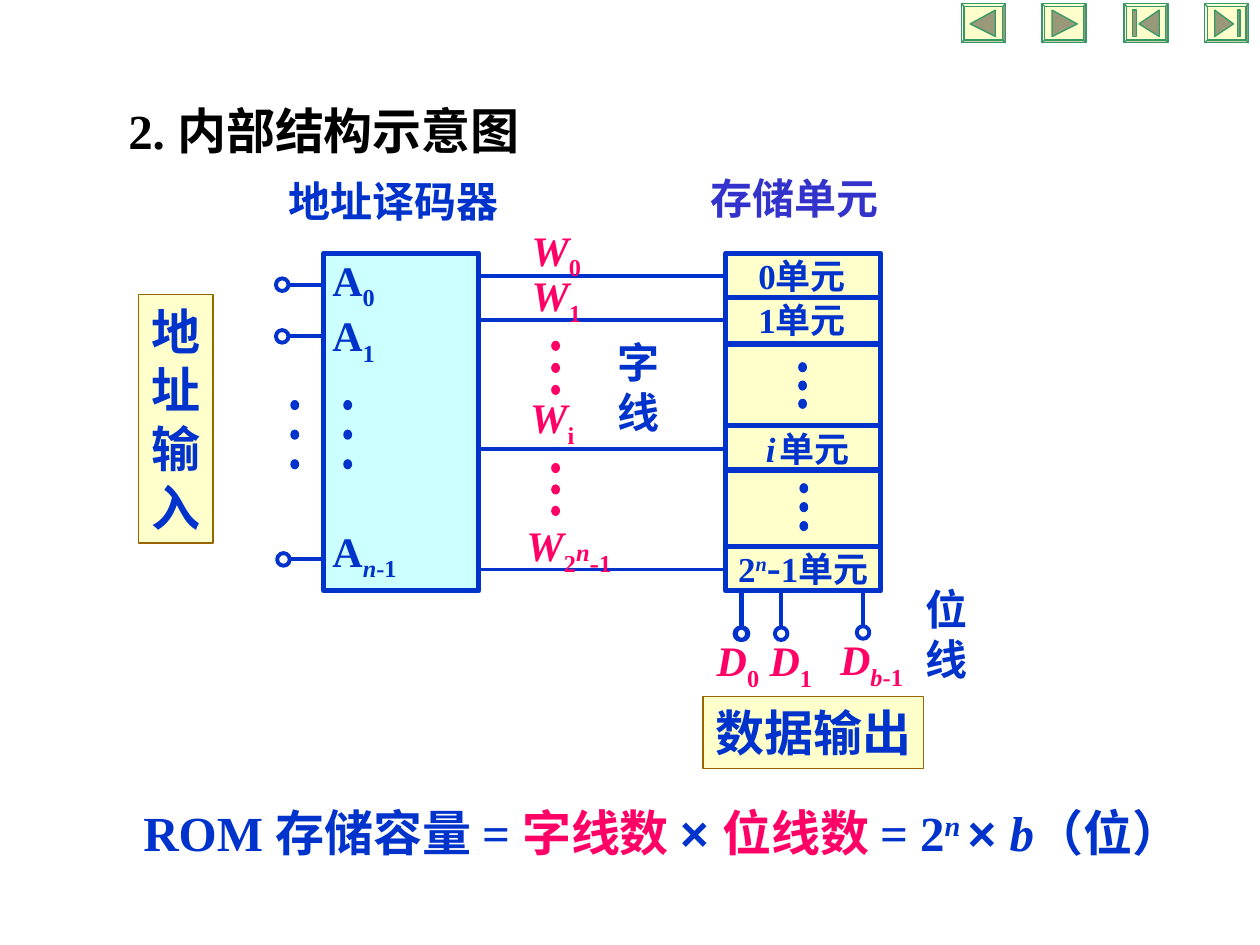
from lxml import etree
from pptx import Presentation
from pptx.dml.color import RGBColor
from pptx.enum import shapes as s, text as t
from pptx.oxml.ns import qn
from pptx.util import Inches, Pt

BLUE, PINK, CREAM, BROWN = "0033CC", "FF0066", "FFFFCC", "996600"
SERIF, SANS = "Times New Roman", "Noto Sans CJK SC"
KIND = s.MSO_SHAPE

prs = Presentation()
prs.slide_width, prs.slide_height = Inches(10), Inches(7.5)
slide = prs.slides.add_slide(prs.slide_layouts[6])
items = slide.shapes


def rgb(code):
    return RGBColor.from_string(code)


def write(shape, lines, size, color=BLUE, face=SERIF, wrap=False):
    """Each line is a list of (text, changes); base is a raise in thousandths of a percent."""
    frame = shape.text_frame
    frame.word_wrap = wrap
    frame.auto_size = t.MSO_AUTO_SIZE.SHAPE_TO_FIT_TEXT
    frame.vertical_anchor = t.MSO_ANCHOR.TOP
    for i, line in enumerate(lines):
        para = frame.add_paragraph() if i else frame.paragraphs[0]
        para.alignment = t.PP_ALIGN.LEFT
        for words, change in line:
            run = para.add_run()
            run.text = words
            look = {"size": size, "name": face, "bold": True, "italic": False, **change}
            base = look.pop("base", 0)
            run.font.color.rgb = rgb(look.pop("color", color))
            look["size"] = Pt(look["size"])
            for key, val in look.items():
                setattr(run.font, key, val)
            if base:
                run._r.get_or_add_rPr().set("baseline", str(base))


IT = {"italic": True}
SUB = {"base": -25000}
SUP = {"base": 30000, "italic": True}

# Boxes, dots and terminals: kind, place, fill, line, width, text lines
forms = [
    (KIND.RECTANGLE, (5.58, 5.53, 1.75, 0.57), CREAM, BROWN, 0.75, ["数据输出"]),
    (KIND.RECTANGLE, (1.1, 2.34, 0.59, 1.97), CREAM, BROWN, 0.75, "地址输入"),
    (KIND.RECTANGLE, (2.57, 2.01, 1.23, 2.68), "CCFFFF", BLUE, 3, []),
    (KIND.RECTANGLE, (5.76, 2.01, 1.23, 2.68), CREAM, BLUE, 3, []),
]
for x, y, step, color in [
    (2.73, 3.18, 0.235, BLUE), (2.31, 3.18, 0.235, BLUE),
    (6.34, 2.88, 0.145, BLUE), (6.35, 3.84, 0.15, BLUE),
    (4.38, 2.71, 0.175, PINK), (4.38, 3.68, 0.17, PINK),
]:
    for i in range(3):
        forms.append((KIND.OVAL, (x, y + i * step, 0.06, 0.07), color, color, 0.75, []))

# Wires: start, end, width
wires = [((3.8, y), (5.76, y), 2.25) for y in (2.19, 2.54, 3.56, 4.52)]
wires += [((5.78, y), (6.99, y), 3) for y in (2.36, 2.73, 3.38, 3.73, 4.34)]
for x, y in [(5.88, 4.7), (5.89, 4.7), (6.2, 4.7), (6.85, 4.69)]:
    wires.append(((x, y), (x, y + 0.29), 2.25))
    forms.append((KIND.OVAL, (x - 0.05, y + 0.28, 0.1, 0.1), None, BLUE, 2.25, []))
for x, y in [(2.56, 2.26), (2.56, 2.67), (2.57, 4.44)]:
    wires.append(((x, y), (x - 0.28, y), 2.25))
    forms.append((KIND.OVAL, (x - 0.37, y - 0.05, 0.1, 0.1), None, BLUE, 2.25, []))

# Navigation buttons: left edge, then icon outlines relative to it
TOP, MID, LOW = 0.08, 0.19, 0.29
icons = [
    (7.63, [[(0.07, MID), (0.27, TOP), (0.27, LOW)]]),
    (8.27, [[(0.08, TOP), (0.28, MID), (0.08, LOW)]]),
    (8.92, [[(0.12, MID), (0.28, TOP), (0.28, LOW)],
            [(0.07, TOP), (0.1, TOP), (0.1, LOW), (0.07, LOW)]]),
    (9.56, [[(0.23, MID), (0.08, LOW), (0.08, TOP)],
            [(0.26, TOP), (0.26, LOW), (0.28, LOW), (0.28, TOP)]]),
]
for x, _ in icons:
    forms.append((KIND.BEVEL, (x, 0.03, 0.35, 0.31), CREAM, "339966", 0.75, []))

for kind, place, fill, edge, width, lines in forms:
    shape = items.add_shape(kind, *map(Inches, place))
    shape.shadow.inherit = False
    if fill:
        shape.fill.solid()
        shape.fill.fore_color.rgb = rgb(fill)
    else:
        shape.fill.background()
    shape.line.color.rgb = rgb(edge)
    shape.line.width = Pt(width)
    if kind == KIND.BEVEL:
        shape.adjustments[0] = 0.07
    if lines:
        write(shape, [[(line, {})] for line in lines], 28)

for start, end, width in wires:
    wire = items.add_connector(s.MSO_CONNECTOR.STRAIGHT, *map(Inches, start + end))
    wire.line.color.rgb = rgb(BLUE)
    wire.line.width = Pt(width)
    etree.SubElement(wire._element.spPr, qn("a:effectLst"))

for x, paths in icons:
    for path in paths:
        pts = [(Inches(x + dx), Inches(y)) for dx, y in path]
        pen = items.build_freeform(*pts[0])
        pen.add_line_segments(pts[1:], close=True)
        icon = pen.convert_to_shape()
        icon.shadow.inherit = False
        icon.fill.solid()
        icon.fill.fore_color.rgb = rgb("999979")
        icon.line.color.rgb = rgb("339966")
        icon.line.width = Pt(0.75)

# Labels: place, lines, size, colour, face, wrap
labels = [
    ((0.92, 0.75, 4.53, 0.57), [[("2. 内部结构示意图", {})]], 28, "000000", SERIF, True),
    ((5.54, 1.32, 2.55, 0.5), [[("存储单元", {})]], 24, "3333CC", SANS, True),
    ((4.8, 2.62, 0.53, 0.9), [[("字", {})], [("线", {})]], 24, BLUE, SANS, False),
    ((7.25, 4.58, 0.86, 0.5), [[("位线", {})]], 24, BLUE, SANS, False),
    ((2.19, 1.34, 2.89, 0.5), [[("地址译码器", {})]], 24, BLUE, SERIF, True),
    ((1.04, 6.32, 9.8, 0.57), [[
        ("ROM 存储容量 = ", {}), ("字线数 ", {"color": PINK}),
        ("× ", {"name": "Arial"}), ("位线数 ", {"color": PINK}),
        ("= 2", {}), ("n ", SUP), ("× ", {"name": "Arial"}),
        ("b", IT), ("（位）", {})]], 28, BLUE, SERIF, True),
    ((5.92, 1.97, 0.96, 0.44), [[("0单元", {})]], 20, BLUE, SERIF, False),
    ((5.92, 2.32, 0.96, 0.44), [[("1单元", {})]], 20, BLUE, SERIF, False),
    ((5.98, 3.34, 0.9, 0.44), [[("i", IT), (" ", {"size": 10}), ("单元", {})]],
     20, BLUE, SERIF, False),
    ((5.76, 4.24, 1.61, 0.5), [[("2", {}), ("n", SUP), ("-", {"size": 24}), ("1单元", {})]],
     20, BLUE, SERIF, True),
]
# Signals: place, letter, subscript runs
for x, y, wide, name, tail in [
    (5.59, 4.99, 0.54, "D", [("0", SUB)]),
    (6.01, 4.99, 0.54, "D", [("1", SUB)]),
    (6.57, 4.98, 0.7, "D", [("b", {**SUB, **IT}), ("-1", SUB)]),
    (2.54, 1.97, 0.54, "A", [("0", SUB)]),
    (2.54, 2.41, 0.54, "A", [("1", SUB)]),
    (2.54, 4.12, 0.71, "A", [("n", {**SUB, **IT}), ("-1", SUB)]),
    (4.12, 1.73, 0.59, "W", [("0", SUB)]),
    (4.12, 2.09, 0.59, "W", [("1", SUB)]),
    (4.11, 3.06, 0.55, "W", [("i", SUB)]),
    (4.08, 4.02, 0.87, "W", [("2", SUB), ("n", {"size": 14, **IT}),
                             ("-", {"size": 28, **SUB}), ("1", SUB)]),
]:
    head = (name, {"italic": name != "A"})
    high = 0.63 if len(tail) > 2 else 0.56
    labels.append(((x, y, wide, high), [[head, *tail]], 24,
                   BLUE if name == "A" else PINK, SERIF, False))

for place, *rest in labels:
    write(items.add_textbox(*map(Inches, place)), *rest)

prs.save("out.pptx")
